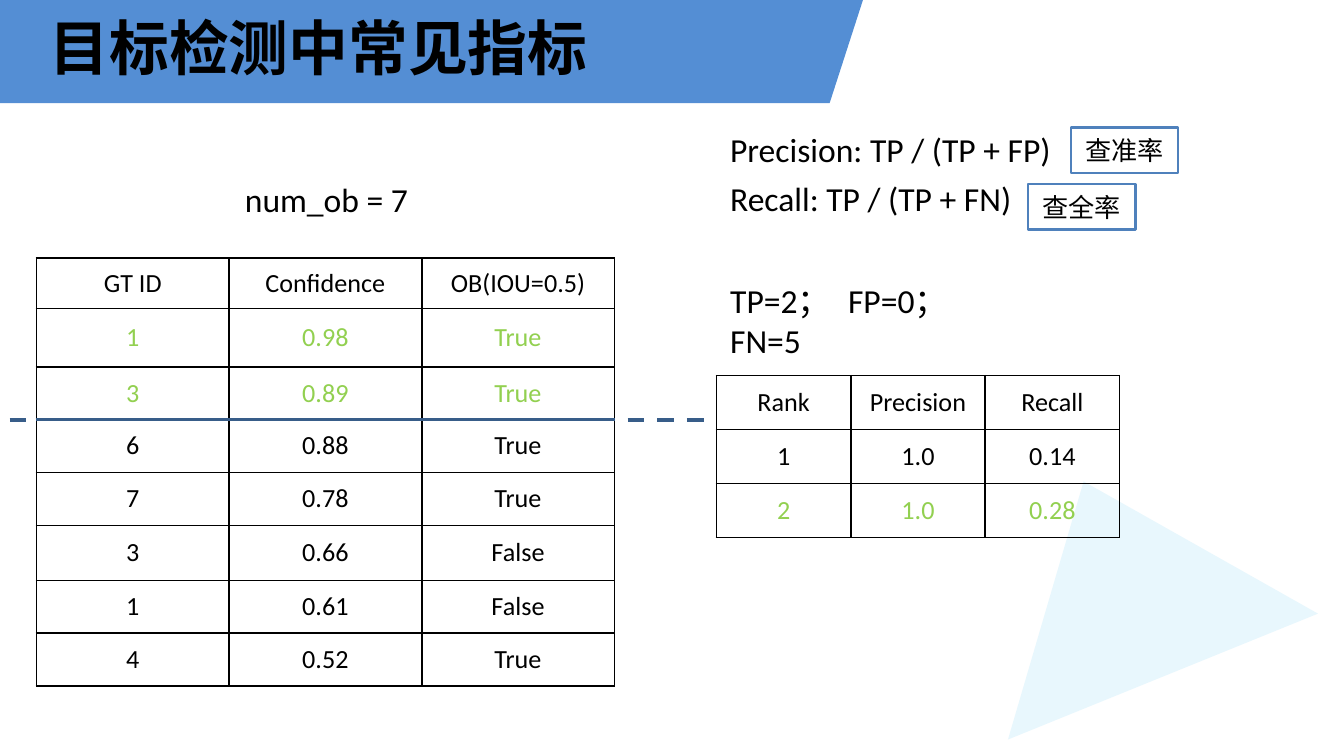
from pptx import Presentation, util as u
from pptx.dml.color import RGBColor
from pptx.enum import shapes, text
from pptx.oxml.ns import qn
from lxml import etree


class Theme:
    banner = "548ED4"
    ink = "000000"
    hit = "92D050"
    cutoff = "385D89"
    label = "4F81BC"
    accent = "00AFEF"
    latin = "Calibri"
    chinese = "Noto Sans CJK SC"
    heading = "Noto Sans CJK TC"
    title_size = u.Pt(32)
    body_size = u.Pt(18)
    small_size = u.Pt(14)
    grid_line = 1
    cutoff_line = 2.25


def write_runs(paragraph, runs, size, color=Theme.ink, bold=False):
    for words, font_name, spacing in runs:
        run = paragraph.add_run()
        run.text = words
        run.font.name = font_name
        run.font.size = size
        run.font.bold = bold
        run.font.color.rgb = RGBColor.from_string(color)
        properties = run.font._element
        if font_name != Theme.latin:
            etree.SubElement(properties, qn("a:ea"), typeface=font_name)
        if spacing:
            properties.set("spc", str(spacing * 100))


def add_grid(left, top, column_width, heights, rows, hits, cutoff=None):
    columns = len(rows[0])
    grid = slide.shapes.add_table(
        len(rows), columns, u.Cm(left), u.Cm(top),
        u.Cm(column_width * columns), u.Cm(sum(heights))).table
    grid.first_row = grid.horz_banding = False
    for column in grid.columns:
        column.width = u.Cm(column_width)
    for i, (values, height) in enumerate(zip(rows, heights)):
        grid.rows[i].height = u.Cm(height)
        for j, value in enumerate(values):
            cell = grid.cell(i, j)
            cell.margin_left = cell.margin_right = 0
            cell.margin_top = cell.margin_bottom = 0
            cell.vertical_anchor = text.MSO_ANCHOR.MIDDLE
            paragraph = cell.text_frame.paragraphs[0]
            paragraph.alignment = text.PP_ALIGN.CENTER
            write_runs(paragraph, [(value, Theme.latin, 0)], Theme.small_size,
                       Theme.hit if i in hits else Theme.ink)
            cell_properties = cell._tc.get_or_add_tcPr()
            for side, edge in (("L", None), ("R", None), ("T", i), ("B", i + 1)):
                on_cutoff = cutoff is not None and edge == cutoff
                width = Theme.cutoff_line if on_cutoff else Theme.grid_line
                border = etree.SubElement(cell_properties, qn(f"a:ln{side}"), w=str(u.Pt(width)))
                fill = etree.SubElement(border, qn("a:solidFill"))
                etree.SubElement(fill, qn("a:srgbClr"),
                                 val=Theme.cutoff if on_cutoff else Theme.ink)
            cell.fill.background()


deck = Presentation()
deck.slide_width, deck.slide_height = u.Cm(25.4), u.Cm(14.29)
slide = deck.slides.add_slide(deck.slide_layouts[6])

outlines = [
    ([(0, 0), (16.31, 0), (15.68, 1.95), (0, 1.95)], Theme.banner, 100),
    ([(19.05, 13.98), (20.48, 9.1), (24.91, 11.6)], Theme.accent, 9),
]
for corners, color, opacity in outlines:
    points = [(u.Cm(x), u.Cm(y)) for x, y in corners]
    builder = slide.shapes.build_freeform(*points[0])
    builder.add_line_segments(points[1:], close=True)
    panel = builder.convert_to_shape()
    panel.shadow.inherit = False
    panel.line.fill.background()
    panel.fill.solid()
    panel.fill.fore_color.rgb = RGBColor.from_string(color)
    if opacity < 100:
        tint = panel._element.spPr.find(f"{qn('a:solidFill')}/{qn('a:srgbClr')}")
        etree.SubElement(tint, qn("a:alpha"), val=str(opacity * 1000))

passages = [
    (0.91, 0.18, 10.4, 1.42, Theme.title_size, True,
     [("目标检测中常见指标", Theme.heading, 0)]),
    (13.77, 2.41, 6.2, 0.84, Theme.body_size, False,
     [("Precision: TP / (TP + FP)", Theme.latin, 0)]),
    (13.77, 3.33, 5.5, 0.84, Theme.body_size, False,
     [("Recall: TP / (TP + FN)", Theme.latin, 0)]),
    (4.6, 3.35, 3.25, 0.84, Theme.body_size, False,
     [("num_ob = 7", Theme.latin, 0)]),
    (13.77, 5.26, 5.2, 0.84, Theme.body_size, False,
     [("TP=2", Theme.latin, 0), ("；", Theme.chinese, 9),
      ("FP=0", Theme.latin, 0), ("；", Theme.chinese, 9),
      ("FN=5", Theme.latin, 0)]),
]
for left, top, width, height, size, bold, runs in passages:
    frame = slide.shapes.add_textbox(
        u.Cm(left), u.Cm(top), u.Cm(width), u.Cm(height)).text_frame
    frame.word_wrap = True
    frame.margin_left = frame.margin_top = u.Cm(0.03)
    frame.margin_right = frame.margin_bottom = 0
    frame.paragraphs[0].space_before = u.Pt(1)
    write_runs(frame.paragraphs[0], runs, size, bold=bold)

for name, left, top in (("查准率", 20.24, 2.41), ("查全率", 19.43, 3.48)):
    tag = slide.shapes.add_shape(
        shapes.MSO_SHAPE.RECTANGLE, u.Cm(left), u.Cm(top), u.Cm(2.03), u.Cm(0.86))
    tag.shadow.inherit = False
    tag.fill.background()
    tag.line.color.rgb = RGBColor.from_string(Theme.label)
    tag.line.width = u.Pt(1.25)
    frame = tag.text_frame
    frame.margin_left = frame.margin_right = 0
    frame.margin_top = frame.margin_bottom = 0
    frame.vertical_anchor = text.MSO_ANCHOR.MIDDLE
    frame.paragraphs[0].alignment = text.PP_ALIGN.CENTER
    write_runs(frame.paragraphs[0], [(name, Theme.chinese, 0)], Theme.small_size)

detections = [
    ("GT ID", "Confidence", "OB(IOU=0.5)"),
    ("1", "0.98", "True"),
    ("3", "0.89", "True"),
    ("6", "0.88", "True"),
    ("7", "0.78", "True"),
    ("3", "0.66", "False"),
    ("1", "0.61", "False"),
    ("4", "0.52", "True"),
]
add_grid(0.69, 4.88, 3.64, [0.95, 1.11, 0.99, 1, 1, 1.04, 1, 1],
         detections, hits=(1, 2), cutoff=3)

ranking = [
    ("Rank", "Precision", "Recall"),
    ("1", "1.0", "0.14"),
    ("2", "1.0", "0.28"),
]
add_grid(13.54, 7.1, 2.54, [1.02] * 3, ranking, hits=(2,))

for start in (0.18, 11.86, 12.42, 12.98):
    dash = slide.shapes.add_connector(
        shapes.MSO_CONNECTOR.STRAIGHT, u.Cm(start), u.Cm(7.94), u.Cm(start + 0.32), u.Cm(7.94))
    dash.line.color.rgb = RGBColor.from_string(Theme.cutoff)
    dash.line.width = u.Pt(Theme.cutoff_line)
    etree.SubElement(dash._element.spPr, qn("a:effectLst"))

deck.save("out.pptx")
